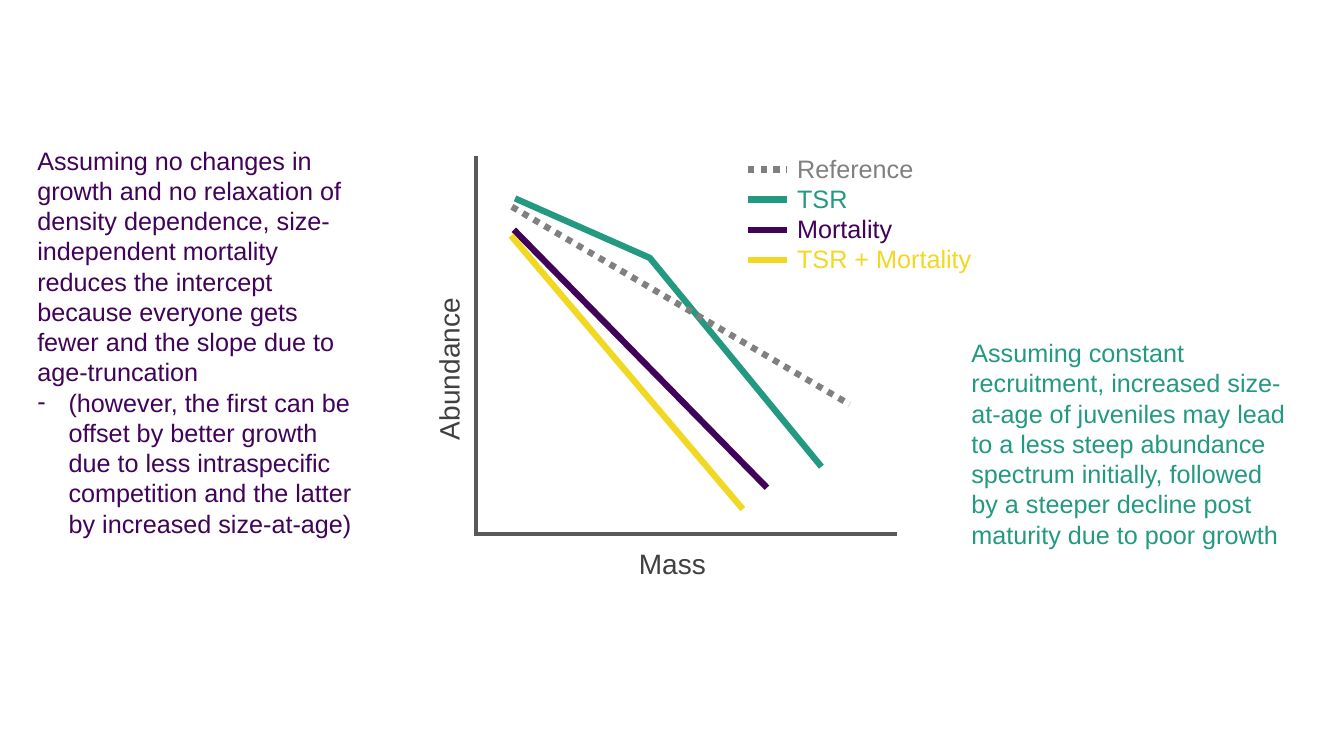
from lxml import etree
from pptx import Presentation
from pptx.dml.color import RGBColor
from pptx.enum.dml import MSO_LINE
from pptx.enum.shapes import MSO_CONNECTOR
from pptx.enum.text import MSO_AUTO_SIZE, PP_ALIGN
from pptx.oxml.ns import qn
from pptx.util import Cm, Pt

STRAIGHT = MSO_CONNECTOR.STRAIGHT
DOTTED = MSO_LINE.ROUND_DOT  # written to the file as sysDot
LEFT, CENTER = PP_ALIGN.LEFT, PP_ALIGN.CENTER
FIT_SHAPE = MSO_AUTO_SIZE.SHAPE_TO_FIT_TEXT

FONT = "Arial"
COLORS = {
    "axis": "595959",
    "axis title": "404040",
    "Reference": "808080",
    "TSR": "239982",
    "Mortality": "410259",
    "TSR + Mortality": "F1D822",
}

prs = Presentation()
prs.slide_width, prs.slide_height = Cm(33.87), Cm(19.05)
slide = prs.slides.add_slide(prs.slide_layouts[6])


def add_line(x1, y1, x2, y2, color, width=4.5):
    line = slide.shapes.add_connector(STRAIGHT, Cm(x1), Cm(y1), Cm(x2), Cm(y2))
    line.line.color.rgb = RGBColor.from_string(COLORS[color])
    line.line.width = Pt(width)
    if color == "Reference":
        line.line.dash_style = DOTTED
    etree.SubElement(line._element.spPr, qn("a:effectLst"))


def add_text(lines, x, y, width, height, colors, size=18, align=LEFT, rotation=0):
    """Add a text box with one paragraph per line, each in its own colour."""
    box = slide.shapes.add_textbox(Cm(x), Cm(y), Cm(width), Cm(height))
    box.rotation = rotation
    frame = box.text_frame
    frame.word_wrap = True
    frame.auto_size = FIT_SHAPE
    frame.text = "\n".join(lines)
    for paragraph, color in zip(frame.paragraphs, colors):
        paragraph.alignment = align
        font = paragraph.runs[0].font
        font.name, font.size = FONT, Pt(size)
        font.color.rgb = RGBColor.from_string(COLORS[color])
    return frame


# Axes
add_line(11.99, 3.94, 11.99, 13.49, "axis", width=3)
add_line(22.61, 13.46, 11.94, 13.46, "axis", width=3)
for title, x, y, width, rotation in [
    ("Mass", 15.42, 13.64, 3.05, 0),
    ("Abundance", 8.53, 8.74, 5.56, 270),
]:
    add_text([title], x, y, width, 1.12, ["axis title"],
             size=20, align=CENTER, rotation=rotation)

# Abundance spectra
for scenario, x1, y1, x2, y2 in [
    ("Mortality", 12.95, 5.79, 19.33, 12.29),
    ("TSR", 16.36, 6.48, 20.7, 11.76),
    ("TSR + Mortality", 12.88, 5.94, 18.72, 12.83),
    ("Reference", 12.9, 5.21, 21.41, 10.19),
    ("TSR", 12.98, 5, 16.38, 6.5),
]:
    add_line(x1, y1, x2, y2, scenario)

# Legend
scenarios = ["Reference", "TSR", "Mortality", "TSR + Mortality"]
for row, scenario in enumerate(scenarios):
    key_y = 4.27 + row * 0.76
    add_line(18.85, key_y, 19.84, key_y, scenario)
add_text(scenarios, 19.84, 3.73, 5.03, 3.33, scenarios)

# Explanations
mortality_note = add_text(
    [
        "Assuming no changes in growth and no relaxation of density dependence, "
        "size-independent mortality reduces the intercept because everyone gets "
        "fewer and the slope due to age-truncation",
        "(however, the first can be offset by better growth due to less "
        "intraspecific competition and the latter by increased size-at-age)",
    ],
    0.69, 3.53, 8.51, 10.26, ["Mortality"] * 2,
)
caveat = mortality_note.paragraphs[1]._p.get_or_add_pPr()
caveat.set("marL", str(Cm(0.79)))
caveat.set("indent", str(-Cm(0.79)))
etree.SubElement(caveat, qn("a:buFont"), typeface=FONT)
etree.SubElement(caveat, qn("a:buChar"), char="-")

add_text(
    [
        "Assuming constant recruitment, increased size-at-age of juveniles may "
        "lead to a less steep abundance spectrum initially, followed by a "
        "steeper decline post maturity due to poor growth"
    ],
    24.23, 8.38, 8.51, 5.64, ["TSR"],
)

prs.save("out.pptx")
